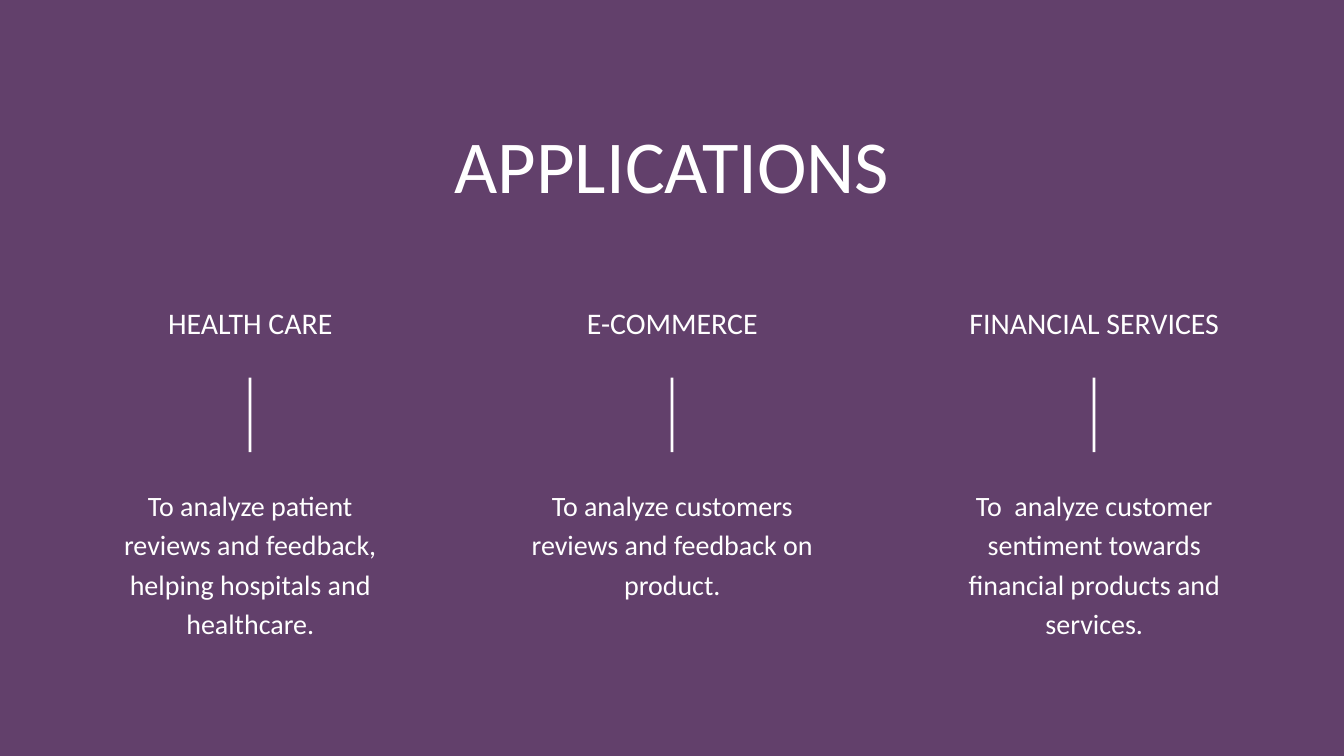
import pptx
import pptx.dml.color
import pptx.enum.shapes
import pptx.enum.text
import pptx.util

PX = 9144
PURPLE = pptx.dml.color.RGBColor(0x62, 0x40, 0x6B)
WHITE = pptx.dml.color.RGBColor(0xFF, 0xFF, 0xFF)

CENTER = 1000
COLUMN_PITCH = 628
TITLE = {"size": 80, "line_spacing": 78.4}
HEADING = {"size": 32, "line_spacing": 38.4}
BODY = {"size": 30, "line_spacing": 42}

APPLICATIONS = [
    ("HEALTH CARE", 228,
     "To analyze patient reviews and feedback, helping hospitals and healthcare."),
    ("E-COMMERCE", 170,
     "To analyze customers reviews and feedback on product."),
    ("FINANCIAL SERVICES", 228,
     "To  analyze customer sentiment towards financial products and services."),
]


def centered_box(center, top, width, height):
    return [v * PX for v in (center - width // 2, top, width, height)]


def set_attributes(target, values):
    for name, value in values.items():
        setattr(target, name, value)


def add_text(shapes, text, box, style):
    tf = shapes.add_textbox(*box).text_frame
    set_attributes(tf, {
        "margin_left": 0, "margin_top": 0, "margin_right": 0, "margin_bottom": 0,
        "word_wrap": True,
        "auto_size": pptx.enum.text.MSO_AUTO_SIZE.SHAPE_TO_FIT_TEXT,
    })
    p = tf.paragraphs[0]
    set_attributes(p, {
        "alignment": pptx.enum.text.PP_ALIGN.CENTER,
        "line_spacing": pptx.util.Pt(style["line_spacing"]),
    })
    r = p.add_run()
    r.text = text
    set_attributes(r.font, {"name": "Calibri", "size": pptx.util.Pt(style["size"])})
    r.font.color.rgb = WHITE


def add_bar(shapes, box):
    sp = shapes.add_shape(pptx.enum.shapes.MSO_SHAPE.RECTANGLE, *box)
    sp.shadow.inherit = False
    sp.fill.solid()
    sp.fill.fore_color.rgb = WHITE
    sp.line.fill.background()


def add_application(s, center, heading, body_height, body):
    shapes = s.shapes.add_group_shape().shapes
    add_text(shapes, heading, centered_box(center, 454, 519, 52), HEADING)
    add_text(shapes, body, centered_box(center, 719, 423, body_height), BODY)
    add_bar(shapes, centered_box(center, 562, 4, 111))


def main():
    prs = pptx.Presentation()
    set_attributes(prs, {"slide_width": 2000 * PX, "slide_height": 1125 * PX})
    s = prs.slides.add_slide(prs.slide_layouts[6])
    s.background.fill.solid()
    s.background.fill.fore_color.rgb = PURPLE
    add_text(s.shapes, "APPLICATIONS", centered_box(CENTER, 202, 1335, 114), TITLE)
    for i, application in enumerate(APPLICATIONS):
        add_application(s, CENTER + (i - 1) * COLUMN_PITCH, *application)
    prs.save("out.pptx")


if __name__ == "__main__":
    main()
